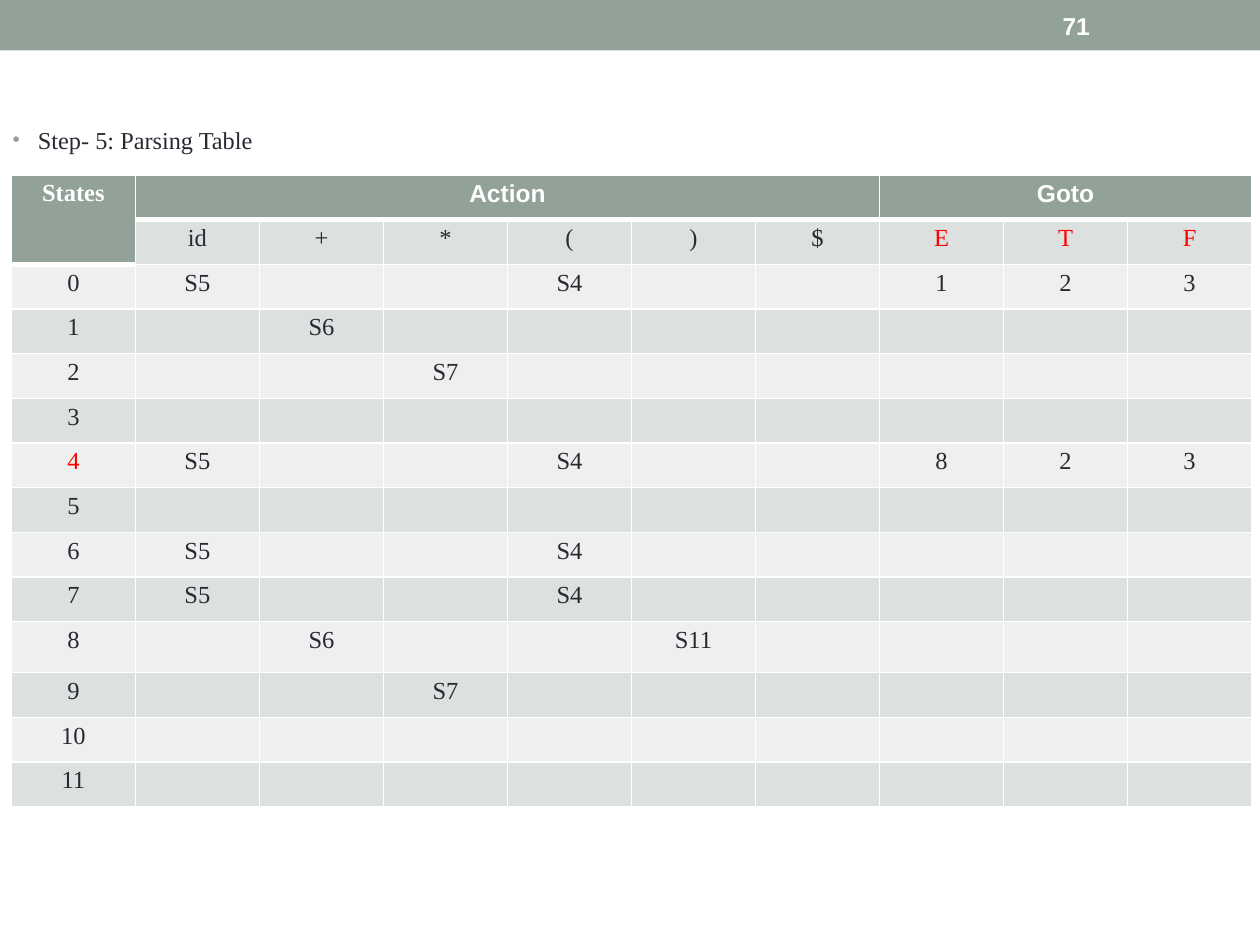
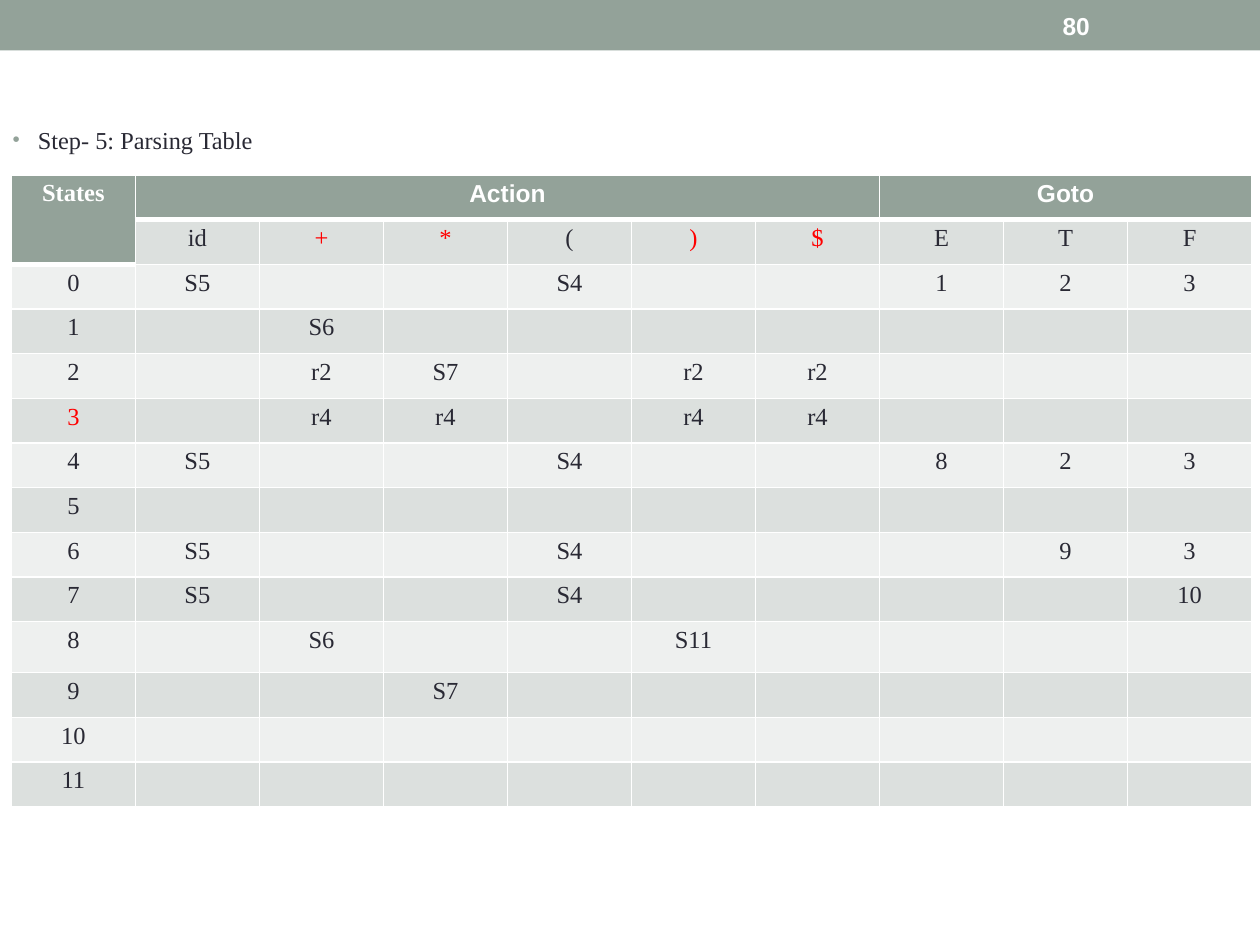
from dataclasses import dataclass

import pptx
import pptx.dml.color
import pptx.enum.shapes
import pptx.enum.text
import pptx.oxml.ns
import pptx.util
from lxml import etree

Cm = pptx.util.Cm
Pt = pptx.util.Pt
qn = pptx.oxml.ns.qn

# Shared look
HUES = {
    "sage": "93A299",
    "dark": "DCE0DE",
    "light": "EEF0EF",
    "ink": "292934",
    "red": "FF0000",
    "white": "FFFFFF",
}
SERIF, SANS = "Times New Roman", "Arial"
SIZE = 14

# Table grid
SYMBOLS = ["id", "+", "*", "(", ")", "$", "E", "T", "F"]
STATES = 12
HEAD = 2  # header rows
GOTO = 7  # first column of the Goto part
WIDE, HIGH, TALL = Cm(2.5), Cm(0.9), Cm(1.03)
TALL_STATE = 8

# Table entries: state -> symbol -> move
Moves = dict[int, dict[str, str]]
SHIFT = {"id": "S5", "(": "S4"}
FIRST: Moves = {
    0: {**SHIFT, "E": "1", "T": "2", "F": "3"},
    1: {"+": "S6"},
    2: {"*": "S7"},
    4: {**SHIFT, "E": "8", "T": "2", "F": "3"},
    6: SHIFT,
    7: SHIFT,
    8: {"+": "S6", ")": "S11"},
    9: {"*": "S7"},
}
LATER: Moves = {
    **FIRST,
    2: {"+": "r2", "*": "S7", ")": "r2", "$": "r2"},
    3: dict.fromkeys("+*)$", "r4"),
    6: {**SHIFT, "T": "9", "F": "3"},
    7: {**SHIFT, "F": "10"},
}


@dataclass(frozen=True)
class Page:
    number: int
    moves: Moves
    state: int  # state marked red
    marks: str  # symbols marked red


@dataclass(frozen=True)
class Style:
    hue: str = "ink"
    face: str = SERIF
    bold: bool = False
    size: float = SIZE


PAGES = [Page(71, FIRST, 4, "ETF"), Page(80, LATER, 3, "+*)$")]


def rgb(hue: str) -> pptx.dml.color.RGBColor:
    return pptx.dml.color.RGBColor.from_string(HUES[hue])


def write(para, text: str, style: Style) -> None:
    """Put styled text in a paragraph."""
    font = para.font
    font.name, font.size, font.bold = style.face, Pt(style.size), style.bold
    font.color.rgb = rgb(style.hue)
    if text:
        para.add_run().text = text
    else:
        etree.SubElement(para._p, qn("a:endParaRPr"), sz=str(SIZE * 100))


def edge(cell, side: str, width: float) -> None:
    """Draw one white border of a cell."""
    line = etree.SubElement(cell._tc.get_or_add_tcPr(), qn(f"a:ln{side}"), w=str(Pt(width)))
    fill = etree.SubElement(line, qn("a:solidFill"))
    etree.SubElement(fill, qn("a:srgbClr"), val=HUES["white"])


def draw_band(slide, number: int) -> None:
    """Top band with the page number."""
    band = slide.shapes.add_shape(
        pptx.enum.shapes.MSO_SHAPE.RECTANGLE, 0, 0, Cm(25.4), Cm(1.02))
    band.shadow.inherit = False
    band.fill.solid()
    band.fill.fore_color.rgb = rgb("sage")
    band.line.fill.background()

    frame = slide.shapes.add_textbox(Cm(21.17), Cm(0.05), Cm(2.96), Cm(0.92)).text_frame
    frame.word_wrap = True
    frame.vertical_anchor = pptx.enum.text.MSO_ANCHOR.MIDDLE
    write(frame.paragraphs[0], str(number), Style("white", SANS, True))


def draw_step(slide) -> None:
    """Bulleted step line in the body placeholder."""
    title = slide.shapes.title.element
    title.getparent().remove(title)
    body = slide.placeholders[1]
    body.left, body.top, body.width, body.height = 0, Cm(2.39), Cm(5.64), Cm(1.07)
    frame = body.text_frame
    frame.auto_size = pptx.enum.text.MSO_AUTO_SIZE.NONE
    para = frame.paragraphs[0]
    props = para._p.get_or_add_pPr()
    props.set("marL", str(Cm(0.51)))
    props.set("indent", str(-Cm(0.51)))
    tint = etree.SubElement(props, qn("a:buClr"))
    etree.SubElement(tint, qn("a:srgbClr"), val=HUES["sage"])
    etree.SubElement(props, qn("a:buSzPct"), val="85000")
    etree.SubElement(props, qn("a:buFont"), typeface=SANS)
    etree.SubElement(props, qn("a:buChar"), char="•")
    para.space_before = Pt(0)
    write(para, "Step- 5: Parsing Table", Style(size=13.9))


def fill_cell(cell, text: str, style: Style, fill: str, top: float, base: float) -> None:
    for side, width in (("L", 1), ("R", 1), ("T", top), ("B", base)):
        edge(cell, side, width)
    cell.fill.solid()
    cell.fill.fore_color.rgb = rgb(fill)
    cell.margin_left = cell.margin_right = Cm(0.18)
    cell.margin_top = cell.margin_bottom = Cm(0.1)
    para = cell.text_frame.paragraphs[0]
    para.alignment = pptx.enum.text.PP_ALIGN.CENTER
    write(para, text, style)


def draw_table(slide, page: Page) -> None:
    """Parsing table with merged headings."""
    rows, cols = HEAD + STATES, 1 + len(SYMBOLS)
    table = slide.shapes.add_table(
        rows, cols, Cm(0.23), Cm(3.53), WIDE * cols, HIGH * (rows - 1) + TALL).table
    for col in table.columns:
        col.width = WIDE
    for i, row in enumerate(table.rows):
        row.height = TALL if i == HEAD + TALL_STATE else HIGH

    # Text by row
    blank = [""] * len(SYMBOLS)
    grid = [["States", *blank], ["", *SYMBOLS]]
    grid[0][1], grid[0][GOTO] = "Action", "Goto"
    for state in range(STATES):
        moves = page.moves.get(state, {})
        grid.append([str(state), *(moves.get(sym, "") for sym in SYMBOLS)])

    # Fills, borders and fonts
    for i, line in enumerate(grid):
        for j, text in enumerate(line):
            head = i == 0 or (i < HEAD and j == 0)
            under = i == (HEAD if j == 0 else 1)
            red = (i == 1 and text and text in page.marks) or (
                j == 0 and i == HEAD + page.state)
            if head:
                style = Style("white", SANS if j else SERIF, True)
            else:
                style = Style("red" if red else "ink")
            fill = "sage" if head else "dark" if i % 2 else "light"
            fill_cell(table.cell(i, j), text, style, fill,
                      3 if under else 1, 3 if head else 1)

    table.cell(0, 0).merge(table.cell(1, 0))
    table.cell(0, 1).merge(table.cell(0, GOTO - 1))
    table.cell(0, GOTO).merge(table.cell(0, cols - 1))


def main() -> None:
    deck = pptx.Presentation()
    deck.slide_width, deck.slide_height = Cm(25.4), Cm(19.05)
    for page in PAGES:
        slide = deck.slides.add_slide(deck.slide_layouts[1])
        draw_band(slide, page.number)
        draw_step(slide)
        draw_table(slide, page)
    deck.save("out.pptx")


if __name__ == "__main__":
    main()
